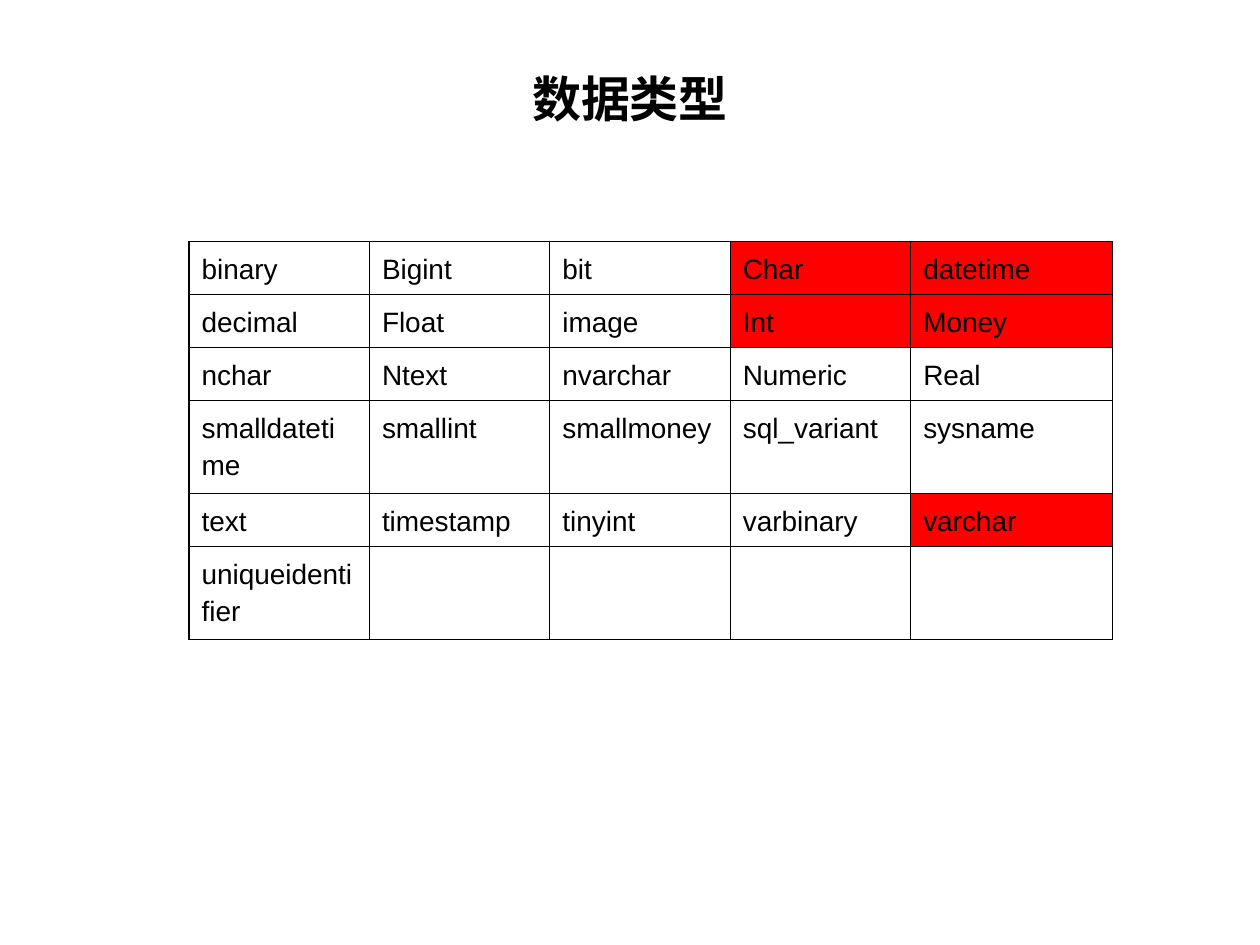
from lxml import etree
from pptx import Presentation
from pptx import util as u
from pptx.dml.color import RGBColor
from pptx.enum import text
from pptx.oxml.ns import qn

COLORS = {"ink": "000000", "paper": "FFFFFF", "highlight": "FF0000"}
FONT = "Arial"
DATA_TYPES = [
    ["binary", "Bigint", "bit", "Char", "datetime"],
    ["decimal", "Float", "image", "Int", "Money"],
    ["nchar", "Ntext", "nvarchar", "Numeric", "Real"],
    ["smalldatetime", "smallint", "smallmoney", "sql_variant", "sysname"],
    ["text", "timestamp", "tinyint", "varbinary", "varchar"],
    ["uniqueidentifier", "", "", "", ""],
]
HIGHLIGHTED = {"Char", "datetime", "Int", "Money", "varchar"}
COLUMN_SHARES = [1.43, 1.43, 1.43, 1.43, 1.6]
ROW_SHARES = [0.42, 0.42, 0.42, 0.74, 0.42, 0.74]


def write(tf, content, size, bold=False, align=text.PP_ALIGN.LEFT, spacing=1.0):
    p = tf.paragraphs[0]
    p.alignment = align
    p.line_spacing = spacing
    r = p.add_run()
    r.text = content
    r.font.name = FONT
    r.font.size = u.Pt(size)
    r.font.bold = bold
    r.font.color.rgb = RGBColor.from_string(COLORS["ink"])


def add_borders(cell, width=0.75):
    """Outline a cell; call before setting its fill, which must follow the lines."""
    tc_pr = cell._tc.get_or_add_tcPr()
    for side in ("lnL", "lnR", "lnT", "lnB"):
        ln = etree.SubElement(tc_pr, qn(f"a:{side}"), w=str(u.Pt(width)))
        fill = etree.SubElement(ln, qn("a:solidFill"))
        etree.SubElement(fill, qn("a:srgbClr"), val=COLORS["ink"])


def add_title(s, content, left, top, width, height):
    tf = s.shapes.add_textbox(left, top, width, height).text_frame
    tf.word_wrap = True
    tf.vertical_anchor = text.MSO_ANCHOR.MIDDLE
    write(tf, content, 28, bold=True, align=text.PP_ALIGN.CENTER)


def add_type_table(s, left, top, width, height):
    table = s.shapes.add_table(len(ROW_SHARES), len(COLUMN_SHARES),
                               left, top, width, height).table
    table.first_row = table.horz_banding = False
    for column, share in zip(table.columns, COLUMN_SHARES):
        column.width = int(width * share / sum(COLUMN_SHARES))
    for row, share, names in zip(table.rows, ROW_SHARES, DATA_TYPES):
        row.height = int(height * share / sum(ROW_SHARES))
        for cell, name in zip(row.cells, names):
            add_borders(cell)
            cell.fill.solid()
            color = COLORS["highlight" if name in HIGHLIGHTED else "paper"]
            cell.fill.fore_color.rgb = RGBColor.from_string(color)
            if name:
                write(cell.text_frame, name, 16, spacing=1.2)


def main():
    prs = Presentation()
    prs.slide_width, prs.slide_height = u.Cm(25.4), u.Cm(19.05)
    s = prs.slides.add_slide(prs.slide_layouts[6])
    add_title(s, "数据类型", u.Cm(1.27), u.Cm(0.76), u.Cm(22.86), u.Cm(2.41))
    add_type_table(s, u.Cm(3.81), u.Cm(4.87), u.Cm(18.62), u.Cm(8.03))
    prs.save("out.pptx")


if __name__ == "__main__":
    main()
